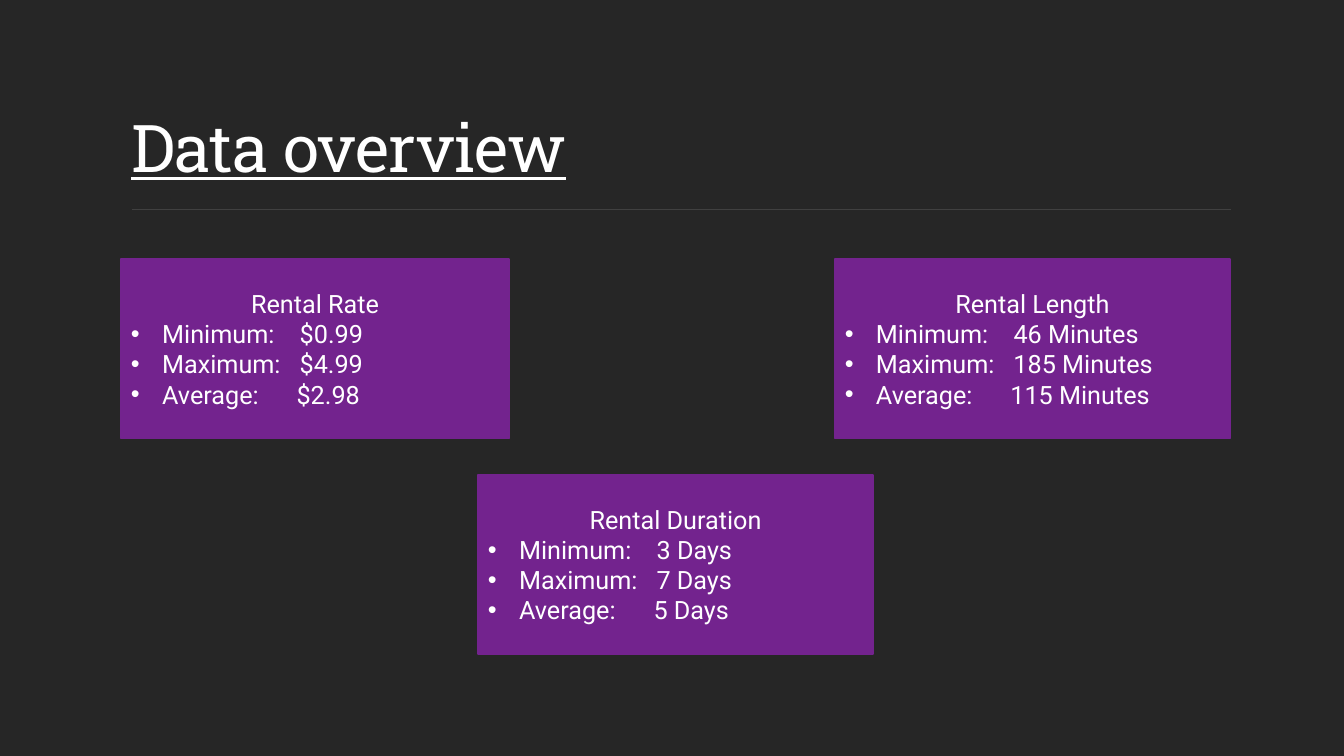
from pptx import Presentation
from pptx.dml.color import RGBColor
from pptx.enum.shapes import MSO_CONNECTOR, MSO_SHAPE
from pptx.enum.text import MSO_ANCHOR as ANCHOR, PP_ALIGN as ALIGN
from pptx.oxml.ns import qn
from pptx.util import Inches, Pt
from lxml.etree import SubElement

BACKGROUND, RULE, PURPLE, WHITE = "262626", "404040", "73238E", "FFFFFF"
BODY_SIZE = 18
LABEL_GAPS = {"Minimum:": 13.5, "Maximum:": 9, "Average:": 22.5}
CARDS = [
    ("Rental Rate", 1.2, 2.57, 3.85, ["$0.99", "$4.99", "$2.98"]),
    ("Rental Length", 8.28, 2.57, 3.92,
     ["46 Minutes", "185 Minutes", "115 Minutes"]),
    ("Rental Duration", 4.74, 4.71, 3.92, ["3 Days", "7 Days", "5 Days"]),
]


def color(fmt, value):
    """Set a colour format from a hex string."""
    fmt.rgb = RGBColor.from_string(value)


def add_run(p, text, size=BODY_SIZE, font="Roboto", spacing=None):
    r = p.add_run()
    r.text = text
    r.font.size = Pt(size)
    r.font.name = font
    color(r.font.color, WHITE)
    if spacing is not None:
        r.font._element.set("spc", str(int(spacing * 100)))
    return r


def add_bullet(p):
    p.alignment = ALIGN.LEFT
    pPr = p._p.get_or_add_pPr()
    pPr.set("marL", str(Inches(0.31)))
    pPr.set("indent", str(Inches(-0.31)))
    SubElement(pPr, qn("a:buFont")).set("typeface", "Arial")
    SubElement(pPr, qn("a:buChar")).set("char", "•")


def add_title(s, text):
    sp = s.shapes.title
    sp.left, sp.top = Inches(1.2), Inches(0.31)
    sp.width, sp.height = Inches(11), Inches(1.59)
    tf = sp.text_frame
    tf.word_wrap = True
    tf.vertical_anchor = ANCHOR.BOTTOM
    p = tf.paragraphs[0]
    p.alignment = ALIGN.LEFT
    p.line_spacing = 0.9
    r = add_run(p, text, 47, "Roboto Slab", -0.5)
    r.font.underline = True


def add_rule(s):
    line = s.shapes.add_connector(MSO_CONNECTOR.STRAIGHT, Inches(1.31),
                                  Inches(2.08), Inches(12.21), Inches(2.08))
    color(line.line.color, RULE)
    line.line.width = Pt(1)
    SubElement(line._element.spPr, qn("a:effectLst"))


def add_card(s, heading, left, top, width, values):
    sp = s.shapes.add_shape(MSO_SHAPE.RECTANGLE, Inches(left), Inches(top),
                            Inches(width), Inches(1.78))
    sp.shadow.inherit = False
    sp.fill.solid()
    color(sp.fill.fore_color, PURPLE)
    color(sp.line.color, PURPLE)
    sp.line.width = Pt(1.25)
    tf = sp.text_frame
    tf.word_wrap = True
    tf.vertical_anchor = ANCHOR.MIDDLE
    p = tf.paragraphs[0]
    p.alignment = ALIGN.CENTER
    add_run(p, heading)
    for (label, gap), value in zip(LABEL_GAPS.items(), values):
        p = tf.add_paragraph()
        add_bullet(p)
        add_run(p, label)
        add_run(p, " ", spacing=gap)
        add_run(p, value)


def main():
    prs = Presentation()
    prs.slide_width, prs.slide_height = Inches(13.33), Inches(7.5)
    s = prs.slides.add_slide(prs.slide_layouts.get_by_name("Title Only"))
    s.background.fill.solid()
    color(s.background.fill.fore_color, BACKGROUND)
    add_rule(s)
    add_title(s, "Data overview")
    for card in CARDS:
        add_card(s, *card)
    prs.save("out.pptx")


if __name__ == "__main__":
    main()
